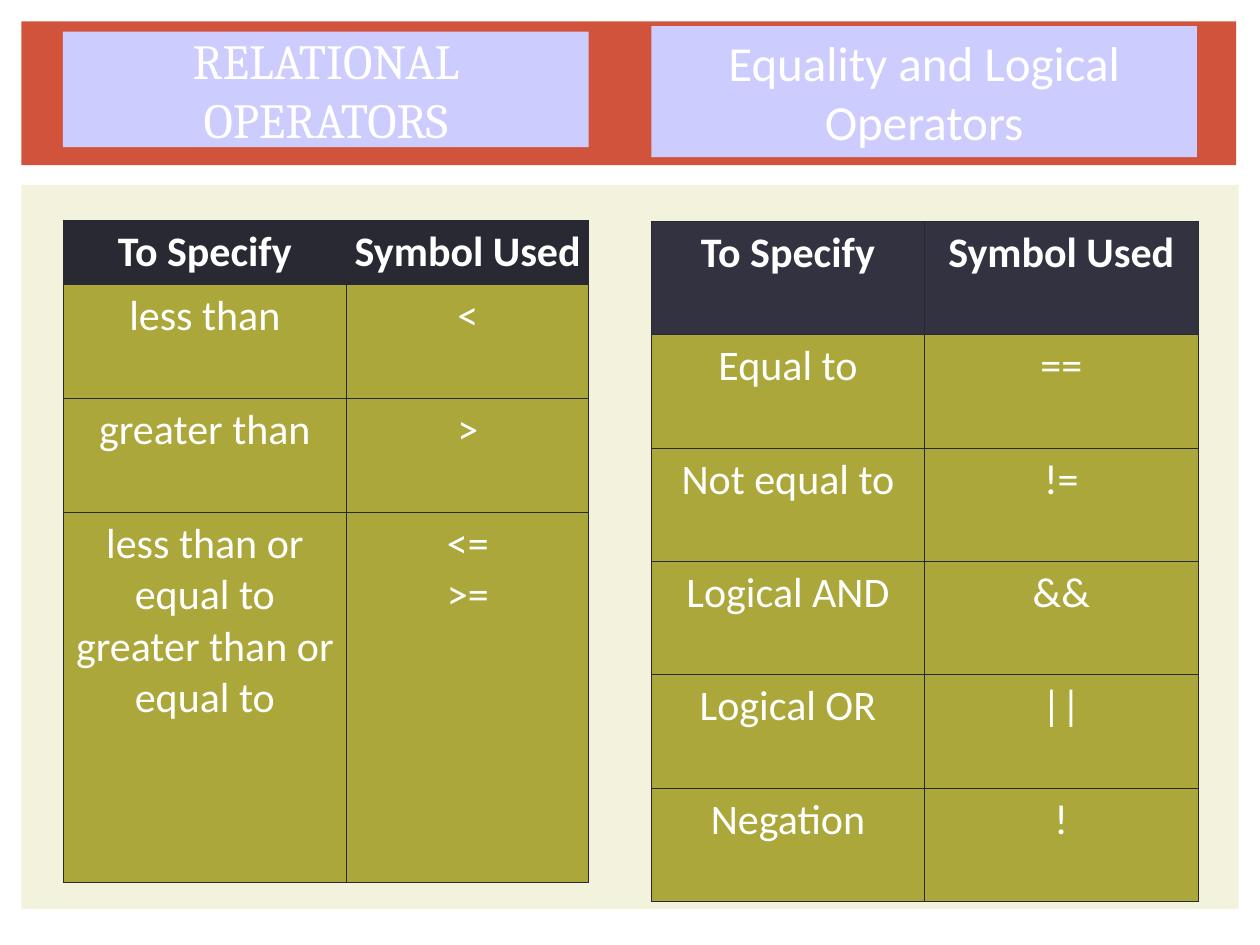
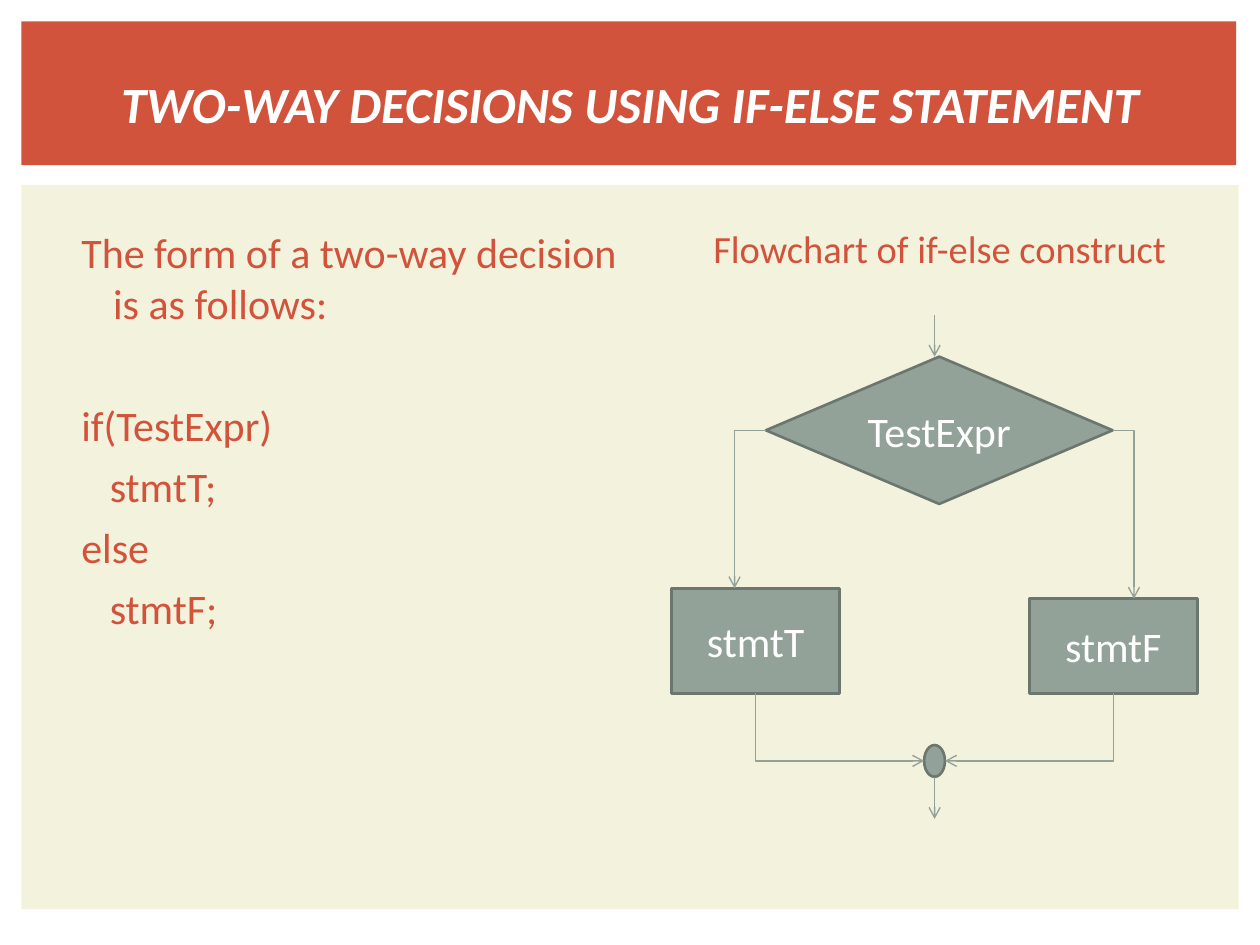
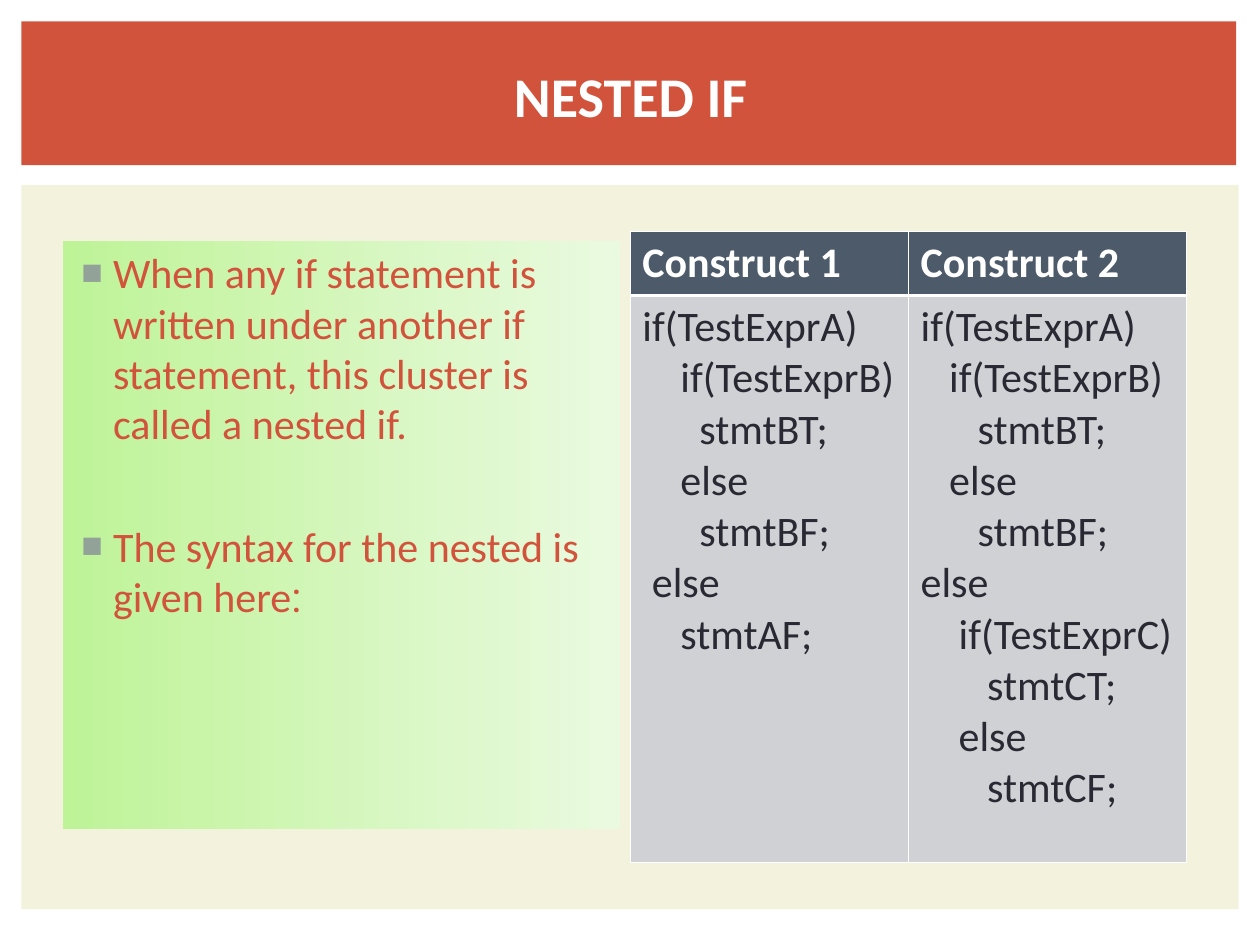
"""Build three slides on operators, two-way decisions and nested if."""
import dataclasses

import lxml.etree
import pptx
import pptx.dml.color
import pptx.enum.shapes
import pptx.enum.text
import pptx.oxml.ns
import pptx.util

Cm = pptx.util.Cm
SHAPES = pptx.enum.shapes.MSO_SHAPE
ALIGN = pptx.enum.text.PP_ALIGN
ANCHOR = pptx.enum.text.MSO_ANCHOR


@dataclasses.dataclass(frozen=True)
class Theme:
    """Colours, fonts and type sizes shared by the slides."""
    white: str = "FFFFFF"
    accent: str = "D2533C"
    panel: str = "F3F2DC"
    heading: str = "CCCCFF"
    node: str = "93A299"
    node_edge: str = "6B766F"
    ink: str = "292934"
    equality_head: str = "323240"
    olive: str = "ACA73B"
    slate: str = "4C5A6A"
    silver: str = "D0D1D4"
    green: str = "BEF397"
    pale_green: str = "EAFAE0"
    font: str = "Calibri"
    serif: str = "Cambria"
    colon_font: str = "Roboto"
    title: int = 32
    long_title: int = 29
    subtitle: int = 28
    body: int = 24
    caption: int = 22
    paragraph_gap: int = 6
    section_gap: int = 41
    hairline: float = 0.45
    divider: float = 1.47
    arrow: float = 0.79
    outline: float = 1.5


THEME = Theme()


@dataclasses.dataclass(frozen=True)
class Box:
    """A region in centimetres."""
    left: float
    top: float
    width: float
    height: float

    def inner(self, left, top, width, height):
        """Return a box placed relative to this one."""
        return Box(self.left + left, self.top + top, width, height)

    def point(self, x, y):
        """Return a point of this box as lengths on the slide."""
        return Cm(self.left + x), Cm(self.top + y)

    def lengths(self):
        """Return the four lengths that python-pptx expects."""
        return tuple(map(Cm, dataclasses.astuple(self)))


@dataclasses.dataclass(frozen=True)
class TableLook:
    """Fills, rules and alignment of one table."""
    head: str
    body: str
    ink: str
    edge: str
    divider: float = THEME.hairline
    align: ALIGN = ALIGN.CENTER
    inset: float = 0.25


BAND = Box(0.43, 0.43, 24.49, 2.9)
PANEL = Box(0.43, 3.73, 24.54, 14.6)


def rgb(colour):
    """Turn a hex colour into an RGBColor."""
    return pptx.dml.color.RGBColor.from_string(colour)


def add_element(parent, tag, **attributes):
    """Append a drawing element with the given attributes."""
    return lxml.etree.SubElement(parent, pptx.oxml.ns.qn(tag), attributes)


def style(para, size, colour, align=ALIGN.LEFT, font=THEME.font, bold=False, italic=False):
    """Set the alignment and font of a paragraph."""
    para.alignment = align
    para.font.size = pptx.util.Pt(size)
    para.font.name = font
    para.font.bold = bold
    para.font.italic = italic
    para.font.color.rgb = rgb(colour)


def add_shape(page, box, fill, kind=SHAPES.RECTANGLE, edge=None):
    """Add a flat preset shape with an optional outline."""
    shape = page.shapes.add_shape(kind, *box.lengths())
    shape.shadow.inherit = False
    shape.fill.solid()
    shape.fill.fore_color.rgb = rgb(fill)
    if edge:
        shape.line.color.rgb = rgb(edge)
        shape.line.width = pptx.util.Pt(THEME.outline)
    else:
        shape.line.fill.background()
    return shape


def write_label(shape, words, size, colour, anchor=ANCHOR.MIDDLE, **looks):
    """Write one centred paragraph into a shape and return it."""
    frame = shape.text_frame
    frame.word_wrap = True
    frame.vertical_anchor = anchor
    frame.text = words
    para = frame.paragraphs[0]
    style(para, size, colour, ALIGN.CENTER, **looks)
    return para


def add_page(deck):
    """Add a blank slide with its body panel and title band."""
    page = deck.slides.add_slide(deck.slide_layouts[6])
    add_shape(page, PANEL, THEME.panel)
    add_shape(page, BAND, THEME.accent)
    return page


def add_title(page, words, size, drop=0, italic=False):
    """Write the slide title over the band."""
    box = BAND.inner(0.64, 0.1 + drop, 23.29, 2.79)
    title = page.shapes.add_textbox(*box.lengths())
    write_label(title, words, size, THEME.white, bold=True, italic=italic)


def add_heading(page, box, words, font):
    """Add a lilac heading block."""
    block = add_shape(page, box, THEME.heading)
    write_label(block, words, THEME.subtitle, THEME.white, font=font)


def rule_cell(cell, colour, **widths):
    """Draw the borders of a cell, named lnL, lnR, lnT and lnB."""
    properties = cell._tc.get_or_add_tcPr()
    for side in ("lnL", "lnR", "lnT", "lnB"):
        width = pptx.util.Pt(widths.get(side, THEME.hairline))
        line = add_element(properties, f"a:{side}", w=str(width))
        add_element(add_element(line, "a:solidFill"), "a:srgbClr", val=colour)


def add_table(page, box, widths, heights, rows, look):
    """Add a table with a bold header row."""
    table = page.shapes.add_table(len(rows), len(widths), *box.lengths()).table
    table.horz_banding = False
    for column, width in zip(table.columns, widths):
        column.width = Cm(width)
    for index, (row, height, texts) in enumerate(zip(table.rows, heights, rows)):
        row.height = Cm(height)
        is_head = index == 0
        divided = {0: {"lnB": look.divider}, 1: {"lnT": look.divider}}.get(index, {})
        for cell, words in zip(row.cells, texts):
            rule_cell(cell, look.edge, **divided)
            cell.fill.solid()
            cell.fill.fore_color.rgb = rgb(look.head if is_head else look.body)
            cell.margin_left = cell.margin_right = Cm(look.inset)
            cell.text_frame.text = words
            for para in cell.text_frame.paragraphs:
                style(para, THEME.body, THEME.white if is_head else look.ink,
                      look.align, bold=is_head)


def write_hanging(frame, lines, gaps, bullet=None):
    """Write paragraphs with a hanging indent and an optional bullet."""
    frame.word_wrap = True
    frame.text = "\n".join(lines)
    for para, gap in zip(frame.paragraphs, gaps):
        properties = para._p.get_or_add_pPr()
        properties.set("marL", str(Cm(0.76)))
        properties.set("indent", str(-Cm(0.64)))
        if bullet:
            add_element(add_element(properties, "a:buClr"), "a:srgbClr", val=THEME.node)
            add_element(properties, "a:buSzPct", val="85000")
            add_element(properties, "a:buFont", typeface="Arial")
            add_element(properties, "a:buChar", char=bullet)
        style(para, THEME.body, THEME.accent)
        para.space_before = pptx.util.Pt(gap)


def add_arrow(page, begin, end, elbow=False, tip="tailEnd"):
    """Add a straight or right-angled arrow; an elbow leaves its start sideways."""
    kinds = pptx.enum.shapes.MSO_CONNECTOR
    arrow = page.shapes.add_connector(kinds.ELBOW if elbow else kinds.STRAIGHT, *begin, *end)
    arrow.line.color.rgb = rgb(THEME.node)
    arrow.line.width = pptx.util.Pt(THEME.arrow)
    properties = arrow._element.spPr
    if elbow:
        properties.find(pptx.oxml.ns.qn("a:prstGeom")).set("prst", "bentConnector2")
    add_element(arrow.line._get_or_add_ln(), f"a:{tip}", type="arrow")
    add_element(properties, "a:effectLst")
    return arrow


def add_node(page, box, words="", kind=SHAPES.RECTANGLE):
    """Add one outlined flowchart node."""
    node = add_shape(page, box, THEME.node, kind, THEME.node_edge)
    if words:
        write_label(node, words, THEME.body, THEME.white)
    return node


def add_flowchart(page, box):
    """Draw the if-else flowchart inside a box."""
    middle, test_y, join_y = 5.3, 2.33, 8.99
    test = add_node(page, box.inner(1.9, 0.84, 6.99, 2.97), "TestExpr",
                    SHAPES.FLOWCHART_DECISION)
    true_branch = add_node(page, box.inner(0, 5.51, 3.39, 2.12), "stmtT")
    false_branch = add_node(page, box.inner(7.21, 5.72, 3.39, 1.91), "stmtF")
    add_node(page, box.inner(middle - 0.21, 8.67, 0.42, 0.64),
             kind=SHAPES.FLOWCHART_CONNECTOR)
    branches = (
        (test, 1, 1.9, 1.27, 5.51, true_branch, 1.7, -0.21),
        (test, 3, 8.89, 8.47, 5.72, false_branch, 8.9, 0.21),
    )
    for source, site, side_x, drop_x, drop_y, target, exit_x, join in branches:
        if site == 3:
            drop_x = 9.32
        down = add_arrow(page, box.point(side_x, test_y), box.point(drop_x, drop_y), elbow=True)
        down.begin_connect(source, site)
        back = add_arrow(page, box.point(middle + join, join_y), box.point(exit_x, 7.63),
                         elbow=True, tip="headEnd")
        back.end_connect(target, 2)
    for top, bottom in ((0, 0.84), (9.31, 10.16)):
        add_arrow(page, box.point(middle, top), box.point(middle, bottom))


def build_operators(deck):
    """Build the slide with the two operator tables."""
    page = add_page(deck)
    header = ("To Specify", "Symbol Used")
    relational = TableLook(THEME.ink, THEME.olive, THEME.white, THEME.ink, inset=0.05)
    add_table(page, PANEL.inner(0.84, 0.71, 10.6, 13.35), (5.72, 4.88),
              (1.29, 2.3, 2.3, 7.46), (
                  header,
                  ("less than", "<"),
                  ("greater than", ">"),
                  ("less than or equal to\ngreater than or equal to", "<=\n>="),
              ), relational)
    equality = (
        header,
        ("Equal to", "=="),
        ("Not equal to", "!="),
        ("Logical AND", "&&"),
        ("Logical OR", "||"),
        ("Negation", "!"),
    )
    look = dataclasses.replace(relational, head=THEME.equality_head, inset=0.25)
    box = PANEL.inner(12.7, 0.73, 11.02, 13.71)
    add_table(page, box, [box.width / 2] * 2, [box.height / len(equality)] * len(equality),
              equality, look)
    add_heading(page, BAND.inner(0.84, 0.21, 10.6, 2.33), "RELATIONAL OPERATORS", THEME.serif)
    add_heading(page, BAND.inner(12.7, 0.1, 11, 2.64), "Equality and Logical Operators",
                THEME.font)


def build_decision(deck):
    """Build the slide on the if-else statement."""
    page = add_page(deck)
    caption = page.shapes.add_textbox(*PANEL.inner(12.9, 0.08, 11.23, 1.78).lengths())
    para = write_label(caption, "Flowchart of if-else construct", THEME.caption,
                       THEME.accent, anchor=ANCHOR.BOTTOM)
    para.line_spacing = 0.8
    form = page.shapes.add_textbox(*PANEL.inner(0.84, 0.72, 11.63, 10.95).lengths())
    lines = ("The form of a two-way decision is as follows:",
             "if(TestExpr)", "   stmtT;", "else", "   stmtF;")
    write_hanging(form.text_frame, lines, (0, THEME.section_gap, *[THEME.paragraph_gap] * 3))
    add_title(page, "TWO-WAY DECISIONS USING IF-ELSE STATEMENT", THEME.long_title,
              drop=0.15, italic=True)
    add_flowchart(page, PANEL.inner(13.11, 2.62, 10.6, 10.16))


def build_nested(deck):
    """Build the slide on nested if statements."""
    page = add_page(deck)
    note = add_shape(page, PANEL.inner(0.84, 1.12, 11.23, 11.86), THEME.green)
    note.fill.gradient()
    note.fill.gradient_angle = 0
    for stop, colour in zip(note.fill.gradient_stops, (THEME.green, THEME.pale_green)):
        stop.color.rgb = rgb(colour)
    frame = note.text_frame
    frame.vertical_anchor = ANCHOR.TOP
    lines = ("When any if statement is written under another if statement, "
             "this cluster is called a nested if.",
             "The syntax for the nested is given here")
    write_hanging(frame, lines, (0, THEME.section_gap), bullet="■")
    colon = frame.paragraphs[-1].add_run()
    colon.text = ":"
    colon.font.name = THEME.colon_font
    first = """if(TestExprA)
    if(TestExprB)
      stmtBT;
    else
      stmtBF;
 else
    stmtAF;"""
    second = """if(TestExprA)
   if(TestExprB)
      stmtBT;
   else
      stmtBF;
else
    if(TestExprC)
       stmtCT;
    else
       stmtCF;"""
    look = TableLook(THEME.slate, THEME.silver, THEME.ink, THEME.white,
                     THEME.divider, ALIGN.LEFT)
    add_table(page, PANEL.inner(12.27, 0.94, 11.22, 12.7), (5.61, 5.61), (1.27, 11.43),
              (("Construct 1", "Construct 2"), (first, second)), look)
    add_title(page, "NESTED IF", THEME.title)


def main():
    """Build the deck and save it."""
    deck = pptx.Presentation()
    deck.slide_width, deck.slide_height = Cm(25.4), Cm(19.05)
    for build in (build_operators, build_decision, build_nested):
        build(deck)
    deck.save("out.pptx")


if __name__ == "__main__":
    main()
